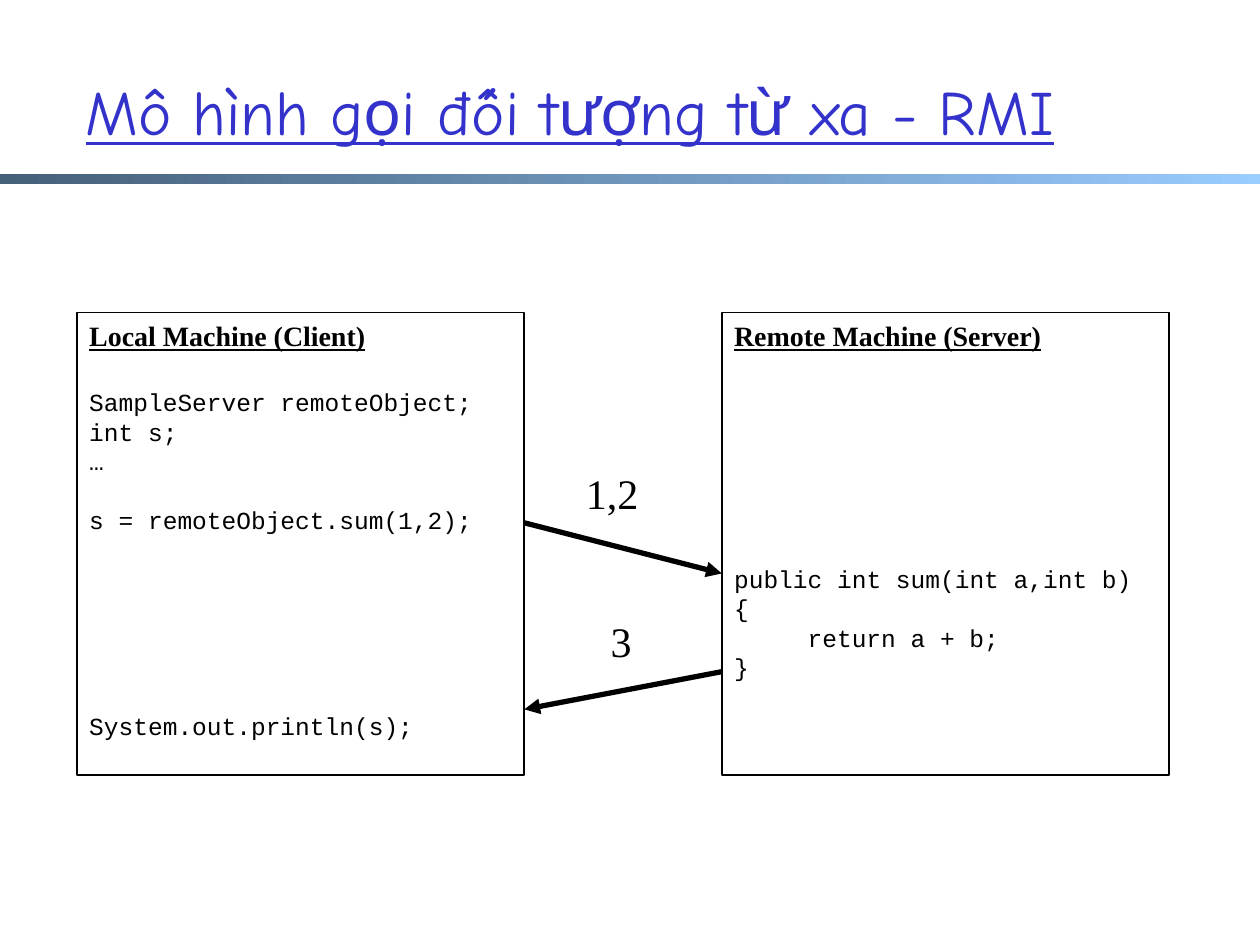
from pptx import Presentation
from pptx.dml.color import RGBColor
from pptx.enum.dml import MSO_LINE
from pptx.enum.shapes import MSO_CONNECTOR, MSO_SHAPE
from pptx.enum.text import MSO_ANCHOR, MSO_AUTO_SIZE, PP_ALIGN
from pptx.oxml.ns import qn
from pptx.util import Cm, Pt
from lxml import etree

RECTANGLE = MSO_SHAPE.RECTANGLE
STRAIGHT = MSO_CONNECTOR.STRAIGHT
SOLID = MSO_LINE.SOLID
LEFT, TOP, MIDDLE = PP_ALIGN.LEFT, MSO_ANCHOR.TOP, MSO_ANCHOR.MIDDLE

COLORS = {"title": "3333CC", "ink": "000000", "bar_dark": "456079", "bar_light": "99CCFF"}
TITLE_FONT, BODY_FONT, CODE_FONT = "Comic Neue", "Times New Roman", "Courier New"
CODE_SIZE, HEADING_SIZE = 14, 16
CODE_LINE = 1.2 * CODE_SIZE
HEADING_GAP = 20

TITLE = "Mô hình gọi đối tượng từ xa - RMI"
# Code lines: text, space before in points, indent in characters
MACHINES = [
    {"heading": "Local Machine (Client)", "left": 1.55, "code": [
        ("SampleServer remoteObject;", HEADING_GAP, 0),
        ("int s;", 0, 0),
        ("…", 0, 0),
        ("s = remoteObject.sum(1,2);", CODE_LINE, 0),
        ("System.out.println(s);", 6 * CODE_LINE, 0)]},
    {"heading": "Remote Machine (Server)", "left": 14.55, "code": [
        ("public int sum(int a,int b) {", HEADING_GAP + 6 * CODE_LINE, 0),
        ("return a + b;", 0, 5),
        ("}", 0, 0)]},
]
MACHINE_TOP, MACHINE_WIDTH, MACHINE_HEIGHT = 6.3, 9.02, 9.32
CLIENT_EDGE = MACHINES[0]["left"] + MACHINE_WIDTH
SERVER_EDGE = MACHINES[1]["left"]
# Messages: text, label left, top, width, then arrow start and end
MESSAGES = [
    ("1,2", 11.56, 9.3, 1.57, (CLIENT_EDGE, 10.54), (SERVER_EDGE, 11.56)),
    ("3", 12.06, 12.29, 0.94, (SERVER_EDGE, 13.54), (CLIENT_EDGE, 14.3)),
]


def rgb(name):
    """Return a named colour."""
    return RGBColor.from_string(COLORS[name])


def write(paragraph, text, size, font=BODY_FONT, color="ink", bold=False,
          underline=False, line=None, before=0, indent=0):
    """Put formatted text into a paragraph."""
    run = paragraph.add_run()
    run.text = text
    run.font.size, run.font.name = Pt(size), font
    run.font.bold, run.font.underline = bold, underline
    run.font.color.rgb = rgb(color)
    paragraph.alignment = LEFT
    paragraph.space_before = Pt(before)
    if line:
        paragraph.line_spacing = Pt(line)
    if indent:
        paragraph.level = 0
        paragraph._p.get_or_add_pPr().set("marL", str(Pt(indent)))


def add_bar(slide):
    """Draw the gradient bar under the title."""
    bar = slide.shapes.add_shape(RECTANGLE, 0, Cm(3.51), Cm(25.4), Cm(0.2))
    bar.shadow.inherit = False
    bar.line.fill.background()
    bar.fill.gradient()
    bar.fill.gradient_angle = 0
    for stop, name, position in zip(bar.fill.gradient_stops, ("bar_dark", "bar_light"), (0, 1)):
        stop.color.rgb = rgb(name)
        stop.position = position


def add_title(slide):
    """Place and format the title placeholder."""
    title = slide.shapes.title
    title.left, title.top, title.width, title.height = Cm(1.47), Cm(0.64), Cm(21.59), Cm(3.17)
    frame = title.text_frame
    frame.auto_size = MSO_AUTO_SIZE.NONE
    frame.vertical_anchor = MIDDLE
    write(frame.paragraphs[0], TITLE, 36, TITLE_FONT, "title", underline=True)


def add_machine(slide, machine):
    """Draw a machine box with its heading and code."""
    box = slide.shapes.add_shape(RECTANGLE, Cm(machine["left"]), Cm(MACHINE_TOP),
                                 Cm(MACHINE_WIDTH), Cm(MACHINE_HEIGHT))
    box.shadow.inherit = False
    box.fill.background()
    box.line.color.rgb, box.line.width = rgb("ink"), Pt(1)
    frame = box.text_frame
    frame.word_wrap = True
    frame.vertical_anchor = TOP
    write(frame.paragraphs[0], machine["heading"], HEADING_SIZE, bold=True,
          underline=True, line=1.2 * HEADING_SIZE)
    for text, before, indent in machine["code"]:
        write(frame.add_paragraph(), text, CODE_SIZE, CODE_FONT, line=CODE_LINE,
              before=before, indent=indent * 0.6 * CODE_SIZE)


def add_message(slide, text, left, top, width, start, end):
    """Draw a message arrow and its label."""
    arrow = slide.shapes.add_connector(STRAIGHT, *(Cm(value) for value in start + end))
    arrow.line.color.rgb, arrow.line.width = rgb("ink"), Pt(3)
    arrow.line.dash_style = SOLID
    etree.SubElement(arrow.line._get_or_add_ln(), qn("a:tailEnd"), type="triangle")
    etree.SubElement(arrow._element.spPr, qn("a:effectLst"))
    label = slide.shapes.add_textbox(Cm(left), Cm(top), Cm(width), Cm(1.27))
    label.text_frame.word_wrap = False
    write(label.text_frame.paragraphs[0], text, 24)


def main():
    """Build the slide and save it."""
    deck = Presentation()
    deck.slide_width, deck.slide_height = Cm(25.4), Cm(19.05)
    slide = deck.slides.add_slide(deck.slide_layouts[5])
    add_bar(slide)
    add_title(slide)
    for machine in MACHINES:
        add_machine(slide, machine)
    for message in MESSAGES:
        add_message(slide, *message)
    deck.save("out.pptx")


main()
